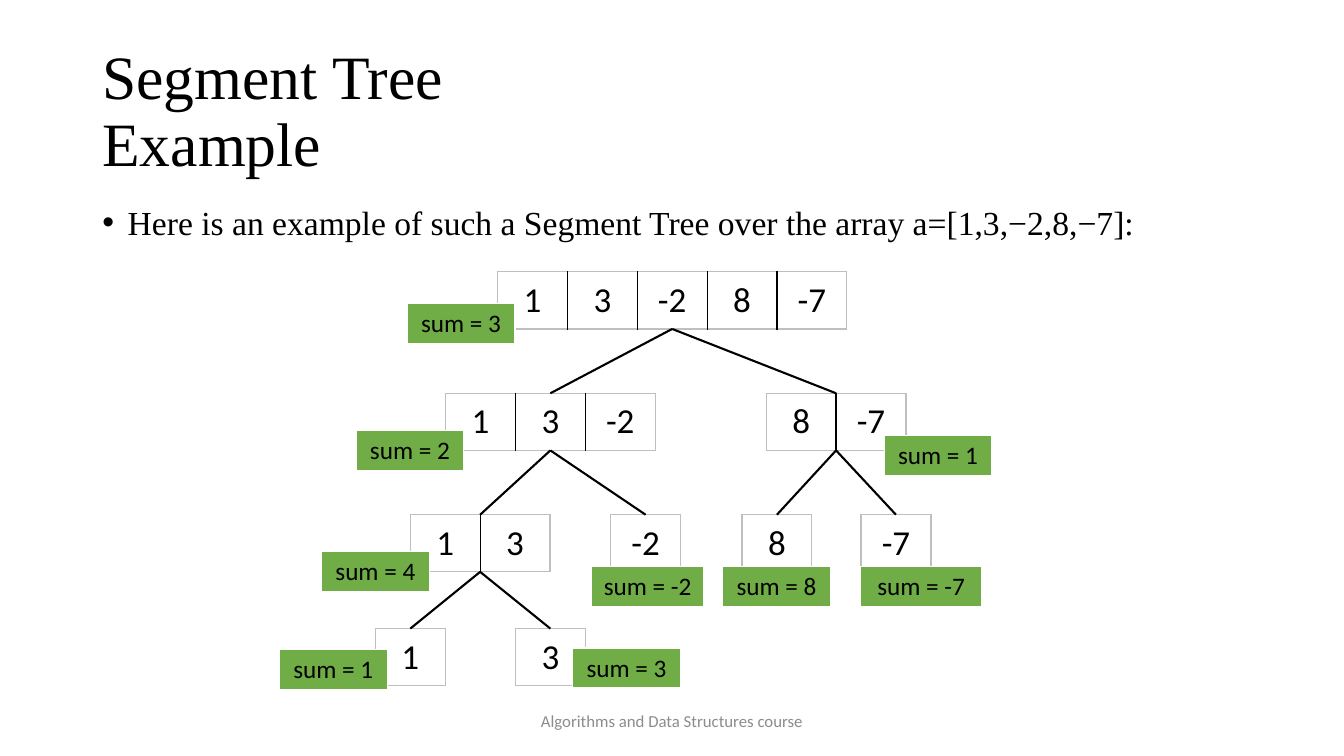
from lxml import etree
from pptx import Presentation
from pptx.dml.color import RGBColor
from pptx.enum.shapes import MSO_CONNECTOR
from pptx.enum.text import MSO_ANCHOR, PP_ALIGN
from pptx.oxml.ns import qn
from pptx.util import Cm, Pt

BLACK = RGBColor(0x00, 0x00, 0x00)
WHITE = RGBColor(0xFF, 0xFF, 0xFF)
GREY = RGBColor(0x8C, 0x8C, 0x8C)
LIGHT_GREY = RGBColor(0xBF, 0xBF, 0xBF)
GREEN = RGBColor(0x70, 0xAD, 0x47)

CELL_WIDTH, CELL_HEIGHT = 1.76, 1.44
TAG_HEIGHT = 1.04
LEVEL_TOPS = [6.85, 9.91, 12.97, 15.84]


def write(frame, text, size, font, color, **paragraph_format):
    para = frame.paragraphs[0]
    for name, value in paragraph_format.items():
        setattr(para, name, value)
    para.text = text
    for span in para.runs:
        for name, value in {"size": Pt(size), "name": font, "bold": False}.items():
            setattr(span.font, name, value)
        span.font.color.rgb = color
    return para


def add_row(page, left, top, width, height, values, size, margins, borders):
    """Add a one-row table; borders gives outer colour, inner colour, bottom width."""
    outer, inner, bottom_width = borders
    table = page.shapes.add_table(
        1, len(values), Cm(left), Cm(top), Cm(width), Cm(height)).table
    table.first_row = table.horz_banding = False
    last = len(values) - 1
    for index, value in enumerate(values):
        table.columns[index].width = Cm(width / len(values))
        cell = table.cell(0, index)
        side, edge = margins
        cell_format = {"vertical_anchor": MSO_ANCHOR.MIDDLE,
                       "margin_left": Cm(side), "margin_right": Cm(side),
                       "margin_top": Cm(edge), "margin_bottom": Cm(edge)}
        for name, setting in cell_format.items():
            setattr(cell, name, setting)
        write(cell.text_frame, value, size, "Calibri", BLACK, alignment=PP_ALIGN.CENTER)
        properties = cell._tc.get_or_add_tcPr()
        sides = [("a:lnL", outer if index == 0 else inner, 1),
                 ("a:lnR", outer if index == last else inner, 1),
                 ("a:lnT", outer, 1), ("a:lnB", outer, bottom_width)]
        for tag, color, points in sides:
            line = etree.SubElement(properties, qn(tag), w=str(Pt(points)))
            fill = etree.SubElement(line, qn("a:solidFill"))
            etree.SubElement(fill, qn("a:srgbClr"), val=str(color))
        cell.fill.background()
    return table


deck = Presentation()
deck.slide_width, deck.slide_height = Cm(33.87), Cm(19.05)
page = deck.slides.add_slide(deck.slide_layouts[6])

# Title, introduction and footer
texts = [
    ((2.33, 1.01, 29.21, 3.68), MSO_ANCHOR.MIDDLE, "Segment Tree\vExample", 44,
     "Times New Roman", BLACK, {"line_spacing": 0.9}),
    ((2.33, 5.07, 29.21, 12.09), MSO_ANCHOR.TOP,
     "Here is an example of such a Segment Tree over the array a=[1,3,−2,8,−7]:", 24,
     "Times New Roman", BLACK, {"line_spacing": 0.9}),
    ((11.22, 17.66, 11.43, 1.01), MSO_ANCHOR.MIDDLE,
     "Algorithms and Data Structures course", 12,
     "Calibri", GREY, {"alignment": PP_ALIGN.CENTER}),
]
paragraphs = []
for bounds, anchor, text, size, font, color, paragraph_format in texts:
    box = page.shapes.add_textbox(*map(Cm, bounds))
    box.text_frame.word_wrap = True
    box.text_frame.vertical_anchor = anchor
    paragraphs.append(write(box.text_frame, text, size, font, color, **paragraph_format))

bullet_properties = paragraphs[1]._p.get_or_add_pPr()
bullet_properties.set("marL", str(Cm(0.64)))
bullet_properties.set("indent", str(-Cm(0.64)))
etree.SubElement(bullet_properties, qn("a:buFont"), typeface="Arial")
etree.SubElement(bullet_properties, qn("a:buChar"), char="•")

# Tree nodes: level, centre, values, index of the parent node
nodes = [
    (0, 16.94, ["1", "3", "-2", "8", "-7"], None),
    (1, 13.87, ["1", "3", "-2"], 0),
    (1, 21.07, ["8", "-7"], 0),
    (2, 12.10, ["1", "3"], 1),
    (2, 16.27, ["-2"], 1),
    (2, 19.58, ["8"], 2),
    (2, 22.58, ["-7"], 2),
    (3, 10.34, ["1"], 3),
    (3, 13.87, ["3"], 3),
]
for level, center, values, parent in nodes:
    width = CELL_WIDTH * len(values)
    add_row(page, center - width / 2, LEVEL_TOPS[level], width, CELL_HEIGHT,
            values, 25, (0.36, 0.18), (LIGHT_GREY, BLACK, 1))

# Edges run from the bottom of each parent to the top of its child
for level, center, values, parent in nodes[1:]:
    parent_level, parent_center = nodes[parent][:2]
    edge = page.shapes.add_connector(
        MSO_CONNECTOR.STRAIGHT,
        Cm(parent_center), Cm(LEVEL_TOPS[parent_level] + CELL_HEIGHT),
        Cm(center), Cm(LEVEL_TOPS[level]))
    edge.line.color.rgb = BLACK
    edge.line.width = Pt(1.5)
    etree.SubElement(edge._element.spPr, qn("a:effectLst"))

# Sum tags: left, top, width, sum
sum_tags = [
    (10.26, 7.65, 2.72, 3),
    (8.97, 10.85, 2.72, 2),
    (8.10, 13.89, 2.72, 4),
    (7.04, 16.36, 2.72, 1),
    (14.43, 16.33, 2.72, 3),
    (14.91, 14.27, 2.82, -2),
    (18.21, 14.27, 2.72, 8),
    (21.69, 14.27, 3.05, -7),
    (22.28, 10.97, 2.72, 1),
]
for left, top, width, total in sum_tags:
    tag_table = add_row(page, left, top, width, TAG_HEIGHT, [f"sum = {total}"],
                        18, (0.25, 0.13), (WHITE, WHITE, 3))
    tag_fill = tag_table.cell(0, 0).fill
    tag_fill.solid()
    tag_fill.fore_color.rgb = GREEN

deck.save("out.pptx")
